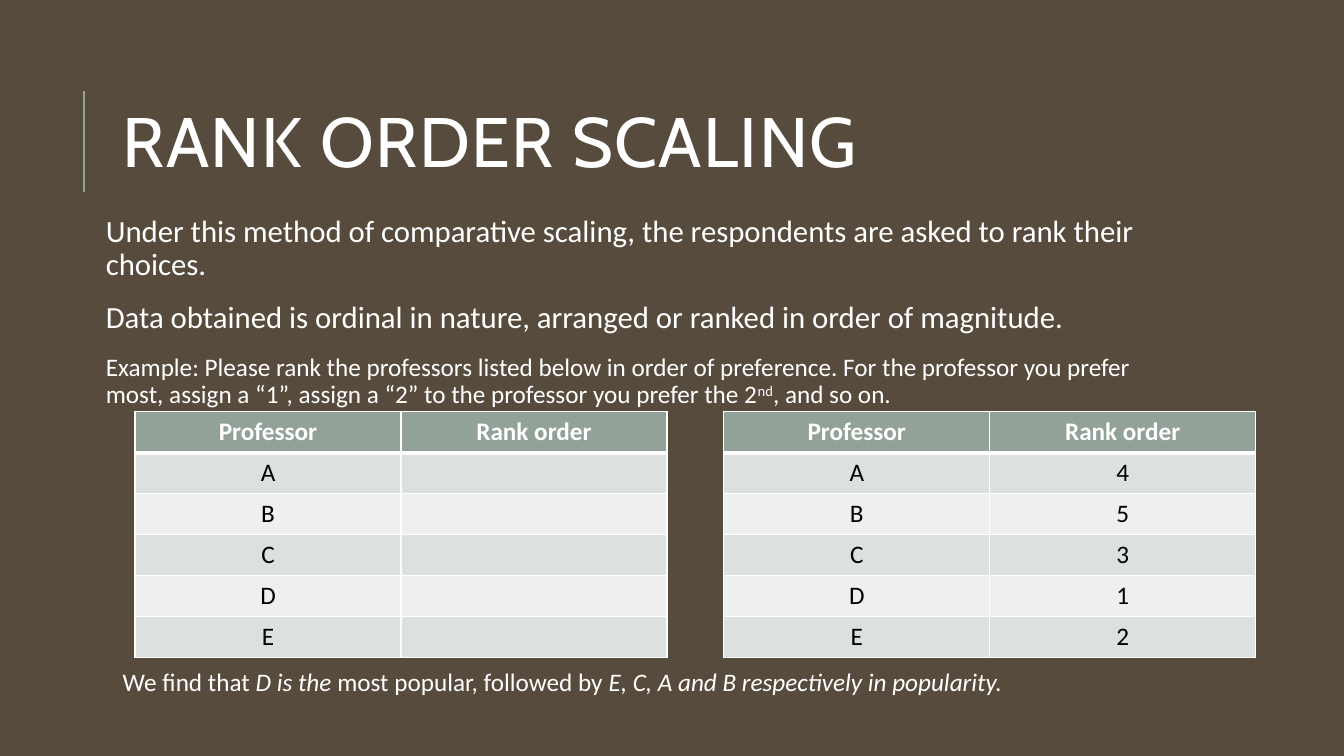
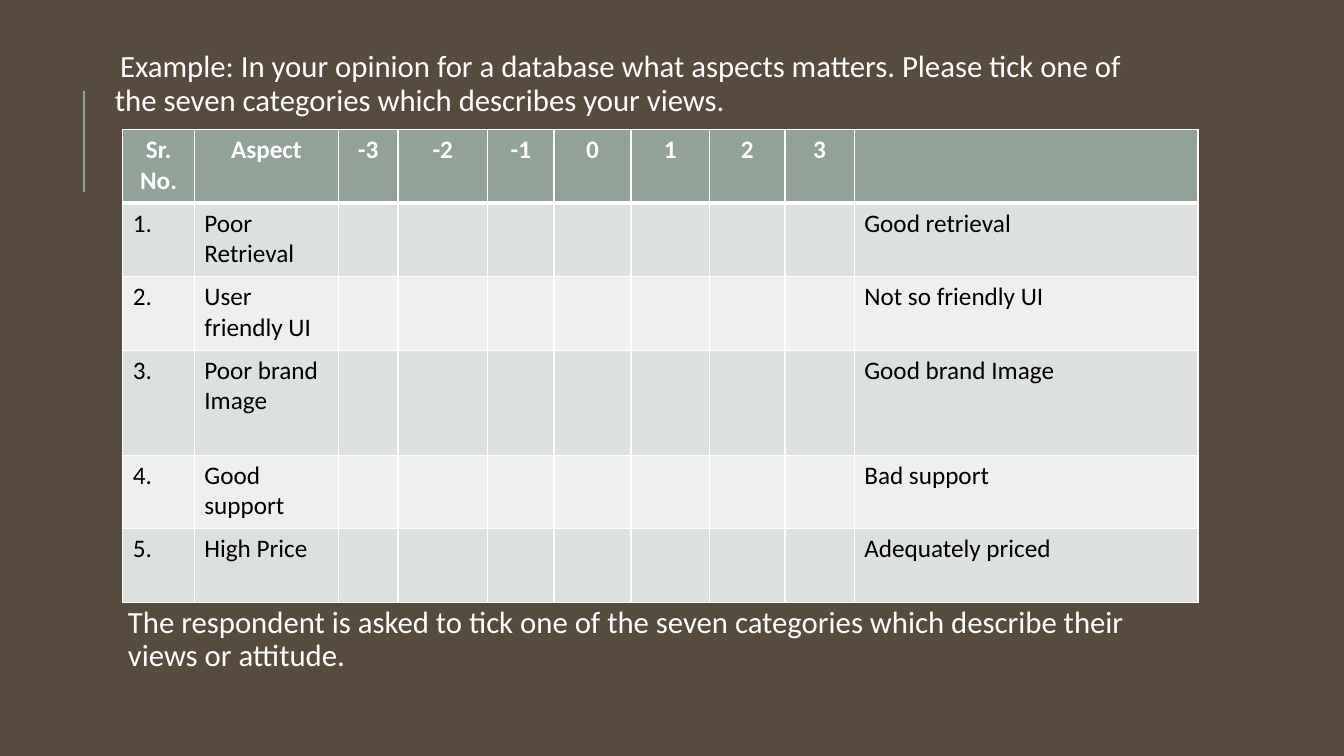
from dataclasses import dataclass

from lxml.etree import SubElement
from pptx import Presentation
from pptx.dml.color import RGBColor
from pptx.enum.shapes import MSO_CONNECTOR
from pptx.enum.text import MSO_ANCHOR, MSO_AUTO_SIZE, PP_ALIGN
from pptx.oxml import parse_xml
from pptx.oxml.ns import nsdecls, qn
from pptx.util import Pt

BROWN, SAGE, WHITE, BLACK = "564B3C", "93A299", "FFFFFF", "000000"
BANDS = ("DCE0DE", "EEF0EF")
TITLE_FONT, TEXT_FONT = "Cabin", "Calibri"
TEXT_WIDTH = 765.4


@dataclass(frozen=True)
class Box:
    left: float
    top: float
    width: float
    height: float


@dataclass(frozen=True)
class Span:
    text: str
    size: float = 22
    italic: bool = False
    superscript: bool = False


@dataclass(frozen=True)
class Grid:
    left: float
    top: float
    columns: list[float]
    heights: list[float]
    rows: list[list[str]]
    centered: bool = False


def rgb(color: str) -> RGBColor:
    return RGBColor.from_string(color)


def place(sp, box: Box) -> None:
    sp.left, sp.top = Pt(box.left), Pt(box.top)
    sp.width, sp.height = Pt(box.width), Pt(box.height)


def style_font(font, size: float, color: str, name: str = TEXT_FONT) -> None:
    font.size, font.name = Pt(size), name
    font.color.rgb = rgb(color)


def add_spans(p, spans: list[Span]) -> None:
    for span in spans:
        r = p.add_run()
        r.text = span.text
        style_font(r.font, span.size, WHITE)
        if span.italic:
            r.font.italic = True
        if span.superscript:
            r.font._element.set("baseline", "30000")


def fill_body(sp, paragraphs: list[list[Span]]) -> None:
    """Write hanging paragraphs with the theme's blank bullet."""
    tf = sp.text_frame
    tf.word_wrap, tf.auto_size = True, MSO_AUTO_SIZE.NONE
    tf.vertical_anchor = MSO_ANCHOR.TOP
    tf.margin_left = tf.margin_top = tf.margin_right = tf.margin_bottom = Pt(3.6)
    for i, spans in enumerate(paragraphs):
        p = tf.add_paragraph() if i else tf.paragraphs[0]
        p.alignment = PP_ALIGN.LEFT
        p.line_spacing, p.space_before, p.space_after = 0.9, Pt(12), Pt(2)
        pPr = p._p.get_or_add_pPr()
        pPr.set("marL", str(Pt(7.2)))
        pPr.set("indent", str(-Pt(7.2)))
        bullet_color = SubElement(pPr, qn("a:buClr"))
        SubElement(bullet_color, qn("a:srgbClr")).set("val", SAGE)
        SubElement(pPr, qn("a:buChar")).set("char", " ")
        add_spans(p, spans)


def set_title(s, text: str) -> None:
    sp = s.shapes.title
    place(sp, Box(80.6, 46.1, TEXT_WIDTH, 118))
    tf = sp.text_frame
    tf.text = text
    tf.word_wrap, tf.auto_size = True, MSO_AUTO_SIZE.NONE
    tf.vertical_anchor = MSO_ANCHOR.MIDDLE
    p = tf.paragraphs[0]
    p.alignment, p.line_spacing = PP_ALIGN.LEFT, 0.8
    font = p.runs[0].font
    style_font(font, 50, WHITE, TITLE_FONT)
    font._element.set("spc", "100")


def set_borders(cell, header: bool) -> None:
    """Draw white borders; a body cell takes its top edge from the row above."""
    widths = {"L": 1, "R": 1}
    if header:
        widths["T"] = 1
    widths["B"] = 3 if header else 1
    tcPr = cell._tc.get_or_add_tcPr()
    for i, (side, width) in enumerate(widths.items()):
        tcPr.insert(i, parse_xml(
            f'<a:ln{side} {nsdecls("a")} w="{Pt(width)}"><a:solidFill>'
            f'<a:srgbClr val="{WHITE}"/></a:solidFill></a:ln{side}>'))


def add_grid(s, grid: Grid) -> None:
    table = s.shapes.add_table(
        len(grid.rows), len(grid.columns), Pt(grid.left), Pt(grid.top),
        Pt(sum(grid.columns)), Pt(sum(grid.heights))).table
    for column, width in zip(table.columns, grid.columns):
        column.width = Pt(width)
    for i, (row, height) in enumerate(zip(grid.rows, grid.heights)):
        table.rows[i].height = Pt(height)
        header = i == 0
        for j, text in enumerate(row):
            cell = table.cell(i, j)
            cell.fill.solid()
            cell.fill.fore_color.rgb = rgb(SAGE if header else BANDS[(i - 1) % 2])
            set_borders(cell, header)
            cell.text_frame.text = text
            p = cell.text_frame.paragraphs[0]
            p.alignment = PP_ALIGN.CENTER if header or grid.centered else PP_ALIGN.LEFT
            for r in p.runs:
                style_font(r.font, 18, WHITE if header else BLACK)
                r.font.bold = header


def add_slide(prs):
    s = prs.slides.add_slide(prs.slide_layouts[1])
    rule = s.shapes.add_connector(
        MSO_CONNECTOR.STRAIGHT, Pt(60), Pt(136.8), Pt(60), Pt(64.8))
    rule.line.color.rgb, rule.line.width = rgb(SAGE), Pt(1.5)
    SubElement(rule._element.spPr, qn("a:effectLst"))
    return s


def add_rank_order_slide(prs) -> None:
    s = add_slide(prs)
    set_title(s, "RANK ORDER SCALING")
    body = s.placeholders[1]
    place(body, Box(64.8, 150.5, TEXT_WIDTH, 316.8))
    fill_body(body, [
        [Span("Under this method of comparative scaling, the respondents are "
              "asked to rank their choices.")],
        [Span("Data obtained is ordinal in nature, arranged or ranked in order "
              "of magnitude.")],
        [Span("Example: Please rank the professors listed below in order of "
              "preference. For the professor you prefer most, assign a “1”, "
              "assign a “2” to the professor you prefer the 2", 18),
         Span("nd", 18, superscript=True),
         Span(", and so on.", 18)],
    ])
    for left, ranks in ((96.5, [""] * 5), (517, "45312")):
        rows = [["Professor", "Rank order"], *map(list, zip("ABCDE", ranks))]
        add_grid(s, Grid(left, 294.2, [190] * 2, [28.8] * 6, rows, centered=True))

    finding = s.shapes.add_textbox(Pt(80.6), Pt(472.3), Pt(834.5), Pt(29))
    tf = finding.text_frame
    tf.word_wrap, tf.auto_size = True, MSO_AUTO_SIZE.SHAPE_TO_FIT_TEXT
    add_spans(tf.paragraphs[0], [
        Span("We find that ", 18),
        Span("D is the ", 18, italic=True),
        Span("most popular, followed by ", 18),
        Span("E, C, A and B respectively in popularity.", 18, italic=True),
    ])


def add_seven_categories_slide(prs) -> None:
    s = add_slide(prs)
    title = s.shapes.title._element
    title.getparent().remove(title)
    body = s.placeholders[1]
    place(body, Box(80.6, 429.8, TEXT_WIDTH, 131))
    fill_body(body, [[Span("The respondent is asked to tick one of the seven "
                           "categories which describe their views or attitude.")]])

    scale = [str(n) for n in range(-3, 4)]
    aspects = [
        ("Poor Retrieval", "Good retrieval"),
        ("User friendly UI", "Not so friendly UI"),
        ("Poor brand Image", "Good brand Image"),
        ("Good support", "Bad support"),
        ("High Price", "Adequately priced"),
    ]
    rows = [["Sr. No.", "Aspect", *scale, ""]]
    rows += [[f"{n}.", left, *[""] * len(scale), right]
             for n, (left, right) in enumerate(aspects, 1)]
    columns = [51, 103, 42.5, 64, 47.5, 55, 56, 54, 49.5, 245.5]
    add_grid(s, Grid(87.8, 92.6, columns, [52.5, 52.5, 52.5, 75, 52.5, 52.5], rows))

    question = s.shapes.add_textbox(Pt(71.3), Pt(33.1), Pt(TEXT_WIDTH), Pt(131))
    fill_body(question, [[Span(
        "Example: In your opinion for a database what aspects matters. Please "
        "tick one of the seven categories which describes your views.")]])


def main() -> None:
    prs = Presentation()
    prs.slide_width, prs.slide_height = Pt(960), Pt(540)
    background = prs.slide_master.background.fill
    background.solid()
    background.fore_color.rgb = rgb(BROWN)
    add_rank_order_slide(prs)
    add_seven_categories_slide(prs)
    prs.save("out.pptx")


if __name__ == "__main__":
    main()
